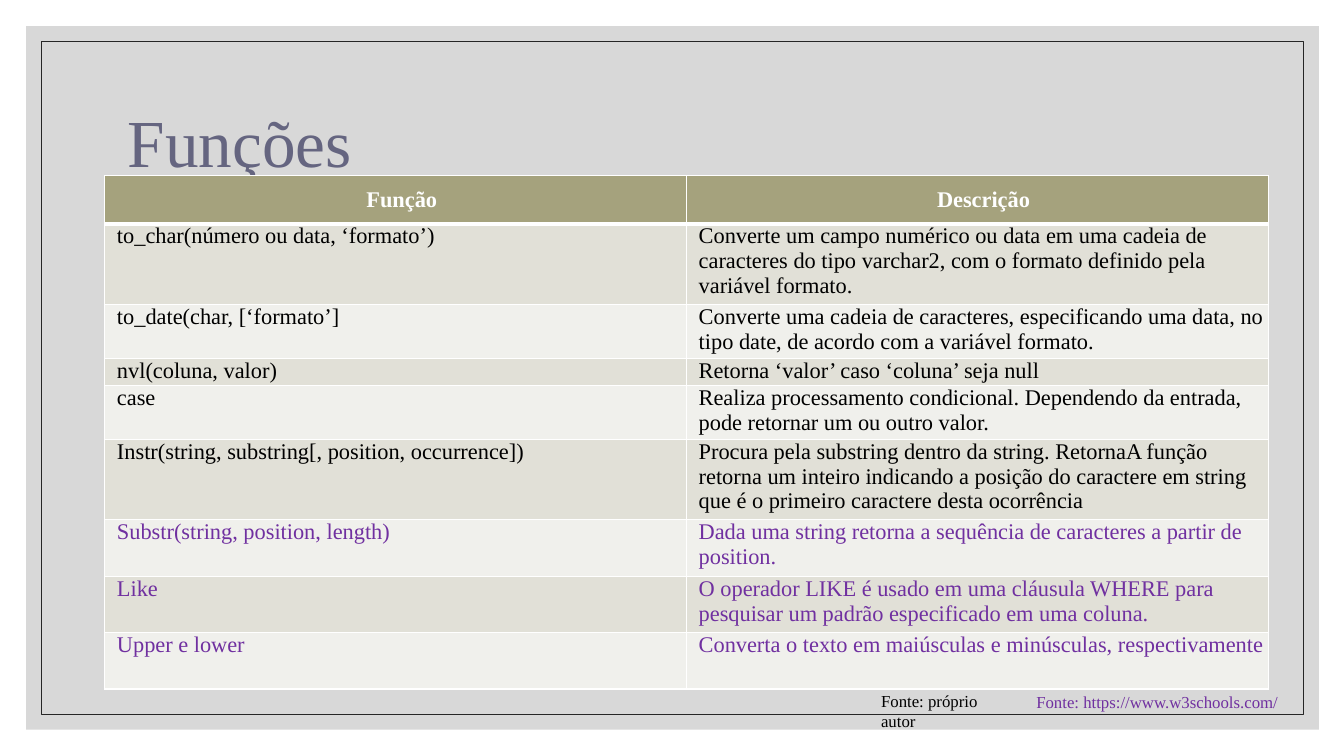
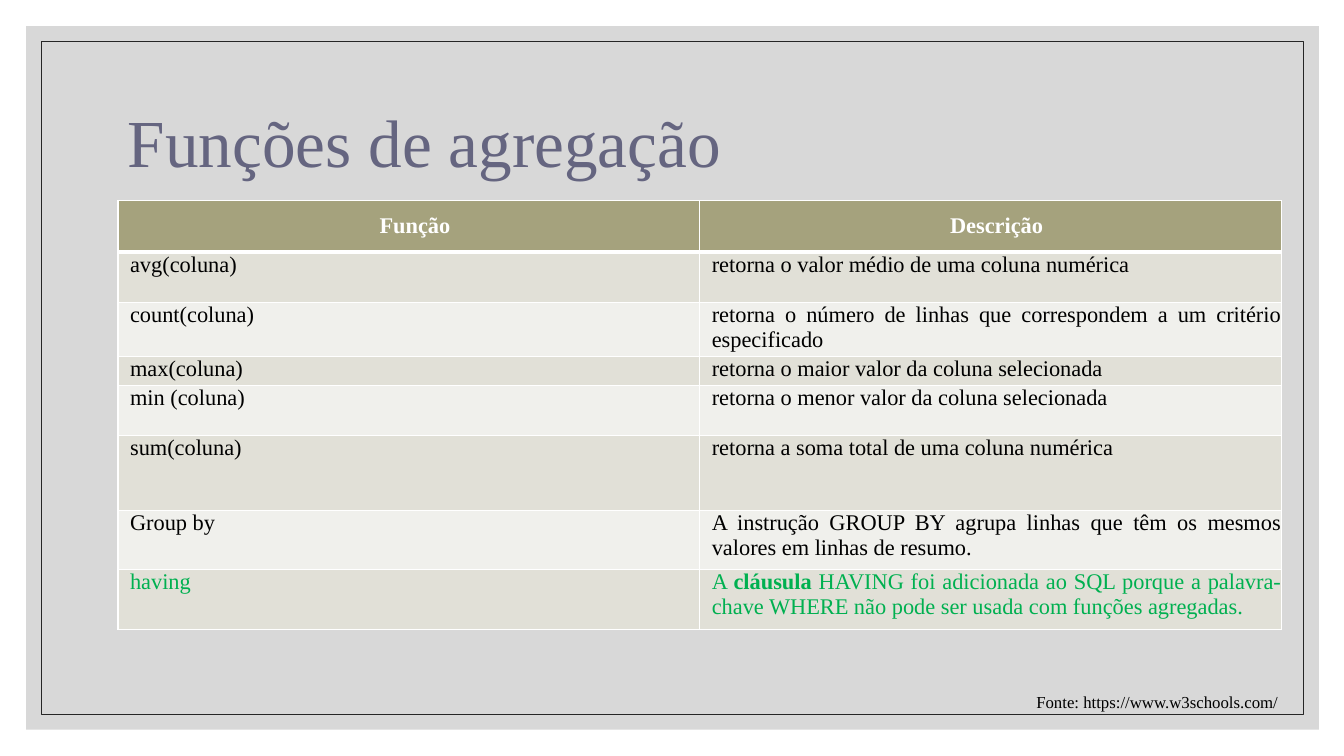
from lxml import etree
from pptx import Presentation
from pptx.dml.color import RGBColor
from pptx.enum.shapes import MSO_SHAPE
from pptx.enum.text import MSO_ANCHOR, PP_ALIGN
from pptx.oxml.ns import qn
from pptx.util import Pt

RECT = MSO_SHAPE.RECTANGLE
TOP, MIDDLE = MSO_ANCHOR.TOP, MSO_ANCHOR.MIDDLE
LEFT, CENTER, JUSTIFY = PP_ALIGN.LEFT, PP_ALIGN.CENTER, PP_ALIGN.JUSTIFY

SCALE = 9144  # EMU per px, 100 px to the inch
FONT = "Times New Roman"
COLORS = {
    "white": "FFFFFF",
    "panel": "BFBFBF",
    "frame": "262626",
    "title": "656580",
    "header": "A5A27D",
    "band_dark": "E1E0D7",
    "band_light": "F0F0EC",
    "ink": "000000",
    "purple": "7030A0",
    "green": "00B050",
}
HEADINGS = ("Função", "Descrição")
SOURCE = "Fonte: https://www.w3schools.com/"

# Each row: height, function, description, text colour
FUNCTIONS = [
    (76, "to_char(número ou data, ‘formato’)",
     "Converte um campo numérico ou data em uma cadeia de caracteres do tipo "
     "varchar2, com o formato definido pela variável formato.", "ink"),
    (50, "to_date(char, [‘formato’]",
     "Converte uma cadeia de caracteres, especificando uma data, no tipo date, "
     "de acordo com a variável formato.", "ink"),
    (27, "nvl(coluna, valor)", "Retorna ‘valor’ caso ‘coluna’ seja null", "ink"),
    (50, "case",
     "Realiza processamento condicional. Dependendo da entrada, pode retornar "
     "um ou outro valor.", "ink"),
    (76, "Instr(string, substring[, position, occurrence])",
     "Procura pela substring dentro da string. RetornaA função retorna um inteiro "
     "indicando a posição do caractere em string que é o primeiro caractere desta "
     "ocorrência", "ink"),
    (56, "Substr(string, position, length)",
     "Dada uma string retorna a sequência de caracteres a partir de position.",
     "purple"),
    (56, "Like",
     "O operador LIKE é usado em uma cláusula WHERE para pesquisar um padrão "
     "especificado em uma coluna.", "purple"),
    (56, "Upper e lower",
     "Converta o texto em maiúsculas e minúsculas, respectivamente", "purple"),
]
AGGREGATES = [
    (50, "avg(coluna)", "retorna o valor médio de uma coluna numérica", "ink"),
    (50, "count(coluna)",
     "retorna o número de linhas que correspondem a um critério especificado", "ink"),
    (29, "max(coluna)", "retorna o maior valor da coluna selecionada", "ink"),
    (50, "min (coluna)", "retorna o menor valor da coluna selecionada", "ink"),
    (74, "sum(coluna)", "retorna a soma total de uma coluna numérica", "ink"),
    (59, "Group by",
     "A instrução GROUP BY agrupa linhas que têm os mesmos valores em linhas de "
     "resumo.", "ink"),
    (59, "having",
     "A *cláusula* HAVING foi adicionada ao SQL porque a palavra-chave WHERE não "
     "pode ser usada com funções agregadas.", "green"),
]


def px(*lengths):
    return [n * SCALE for n in lengths]


def rgb(name):
    return RGBColor.from_string(COLORS[name])


def write_text(tf, text, size=16, color="ink", bold=False, align=LEFT,
               indent=0, after=0, spacing=None):
    """Fill one paragraph; words between asterisks are bold."""
    p = tf.paragraphs[0]
    p.alignment = align
    p.space_after = Pt(after)
    if spacing:
        p.line_spacing = spacing
    if indent:
        p._p.get_or_add_pPr().set("marL", str(indent * SCALE))
    for i, part in enumerate(text.split("*")):
        r = p.add_run()
        r.text = part
        r.font.name = FONT
        r.font.size = Pt(size)
        r.font.bold = bold or i % 2 == 1
        r.font.color.rgb = rgb(color)


def set_borders(cell, **widths):
    """Draw white cell borders; widths in points by side (L, R, T, B)."""
    tc_pr = cell._tc.get_or_add_tcPr()
    for side in "LRTB":
        ln = etree.SubElement(tc_pr, qn(f"a:ln{side}"), w=str(Pt(widths.get(side, 1))))
        fill = etree.SubElement(ln, qn("a:solidFill"))
        etree.SubElement(fill, qn("a:srgbClr"), val=COLORS["white"])


class Deck:
    def __init__(self):
        self.prs = Presentation()
        self.prs.slide_width, self.prs.slide_height = px(1333, 750)
        self.slide = None

    def new_slide(self, title):
        self.slide = self.prs.slides.add_slide(self.prs.slide_layouts[6])
        self.panel()
        self.frame()
        self.text(title, 117, 70, 1100, 150, anchor=MIDDLE,
                  size=48, color="title", spacing=0.9)

    def rect(self, *box):
        sp = self.slide.shapes.add_shape(RECT, *px(*box))
        sp.shadow.inherit = False
        return sp

    def panel(self):
        sp = self.rect(26, 26, 1282, 698)
        sp.fill.solid()
        sp.fill.fore_color.rgb = rgb("panel")
        sp.line.fill.background()
        color = sp.fill._xPr.find(".//" + qn("a:srgbClr"))
        etree.SubElement(color, qn("a:alpha"), val="60000")

    def frame(self):
        sp = self.rect(41, 41, 1252, 668)
        sp.fill.background()
        sp.line.color.rgb = rgb("frame")
        sp.line.width = Pt(0.5)

    def text(self, text, *box, anchor=TOP, wrap=True, **fmt):
        tf = self.slide.shapes.add_textbox(*px(*box)).text_frame
        tf.word_wrap = wrap
        tf.vertical_anchor = anchor
        write_text(tf, text, **fmt)

    def source(self, color):
        self.text(SOURCE, 1018, 681, 263, 30, wrap=False, size=12, color=color)

    def cell(self, cell, text, fill, anchor=TOP, borders=None, **fmt):
        cell.margin_left = cell.margin_right = 0
        cell.margin_top = cell.margin_bottom = 0
        cell.vertical_anchor = anchor
        set_borders(cell, **(borders or {}))
        cell.fill.solid()
        cell.fill.fore_color.rgb = rgb(fill)
        write_text(cell.text_frame, text, indent=12, after=6, **fmt)

    def table(self, left, top, header_height, rows, align=LEFT):
        heights = [header_height] + [row[0] for row in rows]
        table = self.slide.shapes.add_table(
            len(heights), 2, *px(left, top, 1154, sum(heights))).table
        table.horz_banding = False
        for row, height in zip(table.rows, heights):
            row.height = height * SCALE
        for c, heading in enumerate(HEADINGS):
            self.cell(table.cell(0, c), heading, "header", MIDDLE, {"B": 3},
                      color="white", bold=True, align=CENTER)
        for r, (_, name, description, color) in enumerate(rows, 1):
            fill = "band_dark" if r % 2 else "band_light"
            borders = {"T": 3} if r == 1 else None
            for c, text in enumerate((name, description)):
                self.cell(table.cell(r, c), text, fill, borders=borders,
                          color=color, align=align)


def main():
    deck = Deck()

    deck.new_slide("Funções")
    deck.table(104, 174, 48, FUNCTIONS)
    deck.source("purple")
    deck.text("Fonte: próprio autor", 864, 680, 150, 30, size=12)

    deck.new_slide("Funções de agregação")
    deck.table(117, 199, 51, AGGREGATES, align=JUSTIFY)
    deck.source("ink")

    deck.prs.save("out.pptx")


if __name__ == "__main__":
    main()
